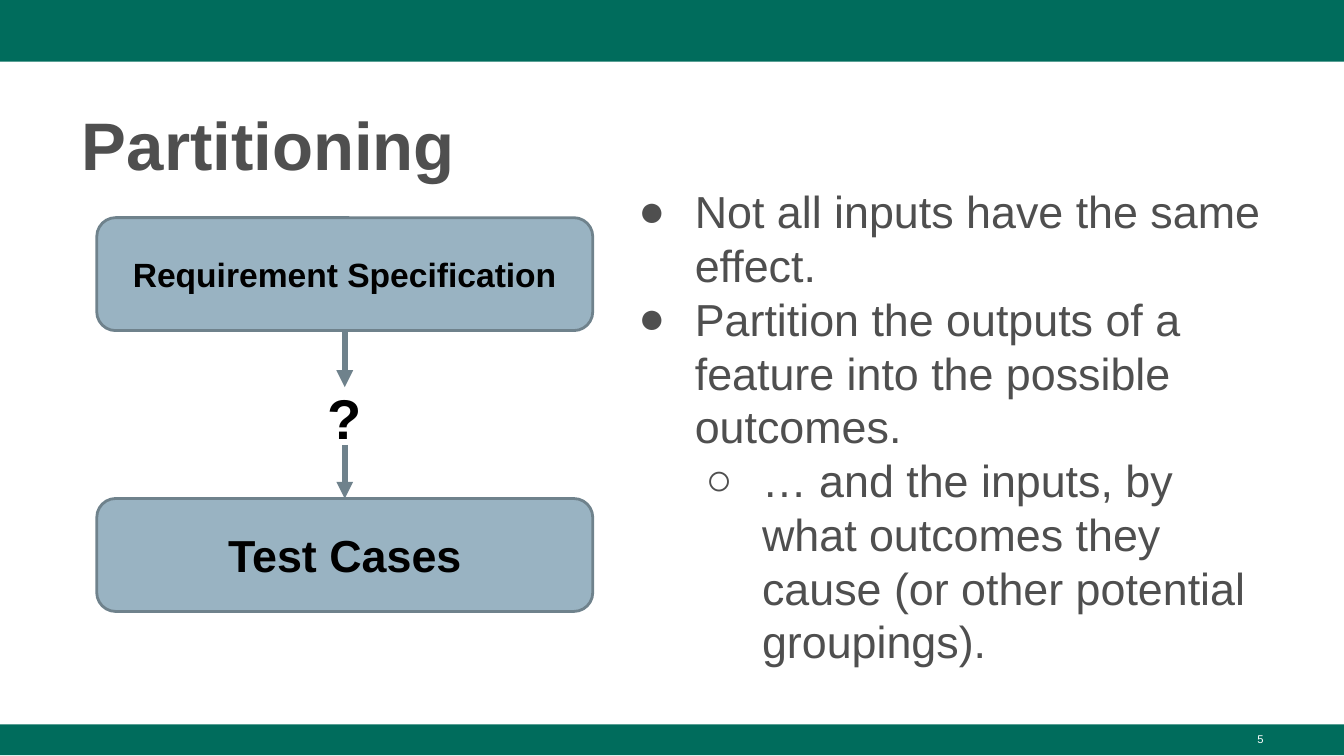
from lxml import etree
from pptx import Presentation
from pptx.dml.color import RGBColor
from pptx.enum import shapes, text
from pptx.oxml import ns
from pptx.util import Inches, Pt

GREEN = RGBColor(0x00, 0x6C, 0x5C)
GREY = RGBColor(0x4F, 0x4F, 0x4F)
BLUE = RGBColor(0x99, 0xB3, 0xC2)
SLATE = RGBColor(0x6F, 0x82, 0x8C)
BLACK = RGBColor(0, 0, 0)
WHITE = RGBColor(255, 255, 255)
LEFT, CENTER, RIGHT = text.PP_ALIGN.LEFT, text.PP_ALIGN.CENTER, text.PP_ALIGN.RIGHT
TOP, MIDDLE, BOTTOM = text.MSO_ANCHOR.TOP, text.MSO_ANCHOR.MIDDLE, text.MSO_ANCHOR.BOTTOM

# Content
TITLE = "Partitioning"
BULLETS = [  # level, text
    (0, "Not all inputs have the same effect."),
    (0, "Partition the outputs of a feature into the possible outcomes."),
    (1, "… and the inputs, by what outcomes they cause (or other potential groupings)."),
]
BULLET_MARKS = "●○"
BANDS = [(0, 0.46), (5.39, 0.23)]  # top, height
STEPS = [("Requirement Specification", 1.62, 18), ("Test Cases", 3.71, 24)]  # text, top, size
STEP_LEFT, STEP_WIDTH, STEP_HEIGHT = 0.72, 3.69, 0.84
ARROWS = [(2.46, 2.88), (3.31, 3.71)]  # start, end
PAGE = "5"


def place(shape, left, top, width, height):
    shape.left, shape.top = Inches(left), Inches(top)
    shape.width, shape.height = Inches(width), Inches(height)


def set_frame(shape, anchor, inset_y=0.1):
    tf = shape.text_frame
    frame = dict(word_wrap=True, auto_size=text.MSO_AUTO_SIZE.NONE, vertical_anchor=anchor,
                 margin_left=Inches(0.1), margin_right=Inches(0.1),
                 margin_top=Inches(inset_y), margin_bottom=Inches(inset_y))
    for name, value in frame.items():
        setattr(tf, name, value)
    return tf


def write(p, words, size, color, bold=False, align=LEFT, spacing=1.0):
    layout = dict(alignment=align, line_spacing=spacing, space_before=Pt(0), space_after=Pt(0))
    for name, value in layout.items():
        setattr(p, name, value)
    r = p.add_run()
    r.text = words
    for name, value in dict(name="Arial", size=Pt(size), bold=bold).items():
        setattr(r.font, name, value)
    r.font.color.rgb = color


def add_block(s, kind, box, fill, line=None):
    sp = s.shapes.add_shape(kind, *map(Inches, box))
    sp.shadow.inherit = False
    sp.fill.solid()
    sp.fill.fore_color.rgb = fill
    if line is None:
        sp.line.fill.background()
    else:
        sp.line.color.rgb, sp.line.width = line, Pt(1.5)
    return sp


def add_arrow(s, x, start, end):
    arrow = s.shapes.add_connector(shapes.MSO_CONNECTOR.STRAIGHT,
                                   *map(Inches, (x, start, x, end)))
    arrow.line.color.rgb, arrow.line.width = SLATE, Pt(3)
    line = arrow._element.spPr.find(ns.qn("a:ln"))
    etree.SubElement(line, ns.qn("a:tailEnd"), type="triangle")
    etree.SubElement(arrow._element.spPr, ns.qn("a:effectLst"))


def add_bullet(p, level):
    p.level = level
    pPr = p._p.get_or_add_pPr()
    pPr.set("marL", str(Inches(0.5 * (level + 1))))
    pPr.set("indent", str(Inches(-0.42)))
    color = etree.SubElement(pPr, ns.qn("a:buClr"))
    etree.SubElement(color, ns.qn("a:srgbClr"), val=str(GREY))
    etree.SubElement(pPr, ns.qn("a:buFont"), typeface="Arial")
    etree.SubElement(pPr, ns.qn("a:buChar"), char=BULLET_MARKS[level])


prs = Presentation()
prs.slide_width = Inches(10)
prs.slide_height = prs.slide_width * 9 // 16
s = prs.slides.add_slide(prs.slide_layouts[1])
title, body = s.placeholders

# Bands
for top, height in BANDS:
    add_block(s, shapes.MSO_SHAPE.RECTANGLE, (0, top, 10, height), GREEN)

# Title
place(title, 0.51, 0.67, 8.99, 0.73)
tf = set_frame(title, BOTTOM, 0.03)
write(tf.paragraphs[0], TITLE, 36, GREY, bold=True, spacing=1.08)

# Flow from specification to test cases
for words, top, size in STEPS:
    step = add_block(s, shapes.MSO_SHAPE.ROUNDED_RECTANGLE,
                     (STEP_LEFT, top, STEP_WIDTH, STEP_HEIGHT), BLUE, SLATE)
    tf = set_frame(step, MIDDLE)
    write(tf.paragraphs[0], words, size, BLACK, bold=True, align=CENTER)
for start, end in ARROWS:
    add_arrow(s, STEP_LEFT + STEP_WIDTH / 2, start, end)

# Question mark and page number
for words, box, size, color, bold, align, inset in [
    ("?", (2.24, 2.75, 0.65, 0.42), 30, BLACK, True, CENTER, 0.1),
    (PAGE, (7.17, 5.4, 2.33, 0.23), 6, WHITE, False, RIGHT, 0.05),
]:
    label = s.shapes.add_textbox(*map(Inches, box))
    tf = set_frame(label, TOP, inset)
    write(tf.paragraphs[0], words, size, color, bold, align)

# Bullet list
place(body, 4.57, 1.31, 4.93, 4.07)
tf = set_frame(body, TOP, 0.06)
for i, (level, words) in enumerate(BULLETS):
    p = tf.add_paragraph() if i else tf.paragraphs[0]
    add_bullet(p, level)
    write(p, words, 24, GREY)

prs.save("out.pptx")
